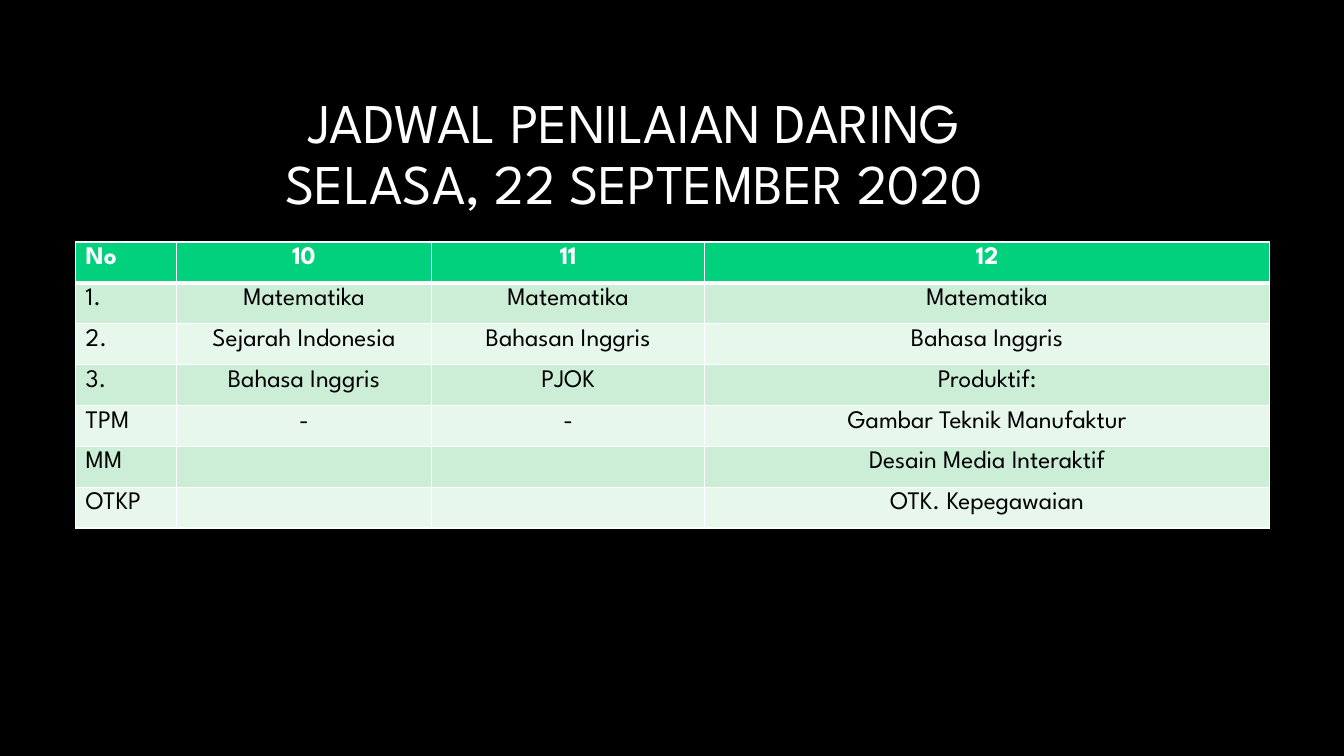
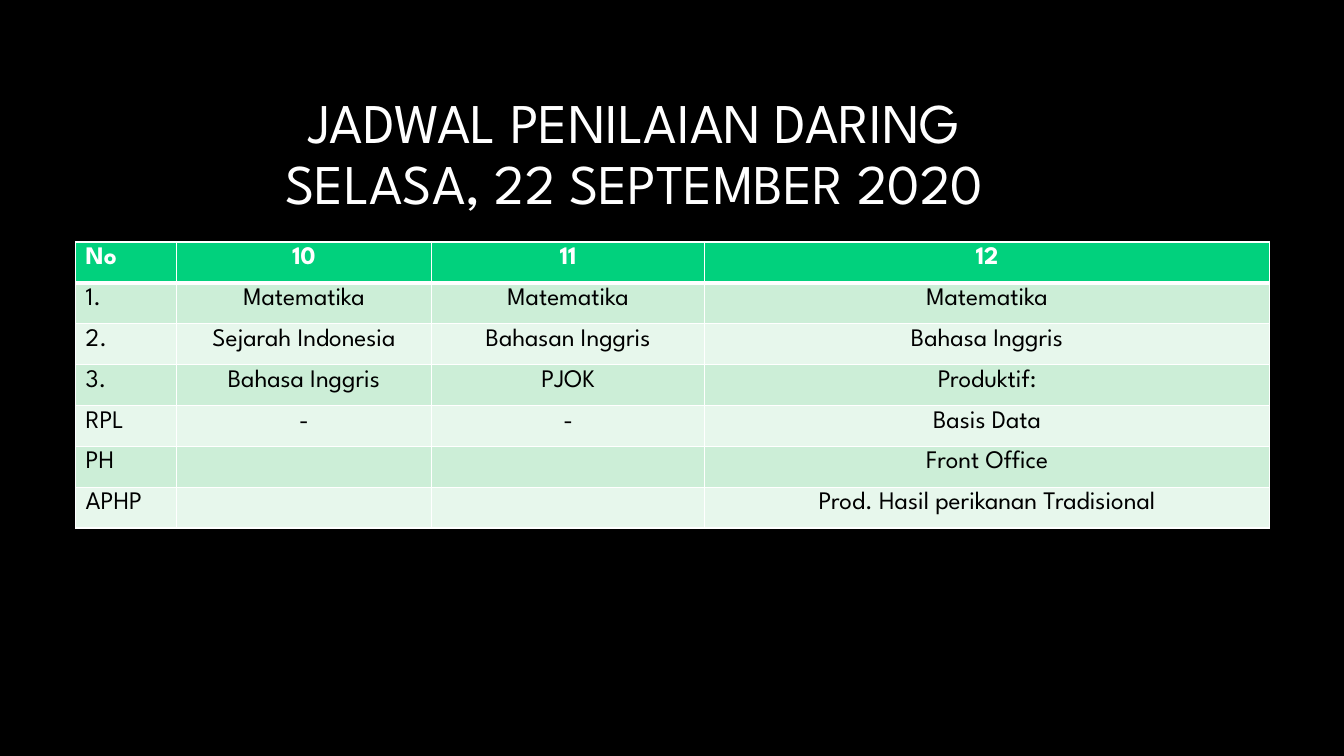
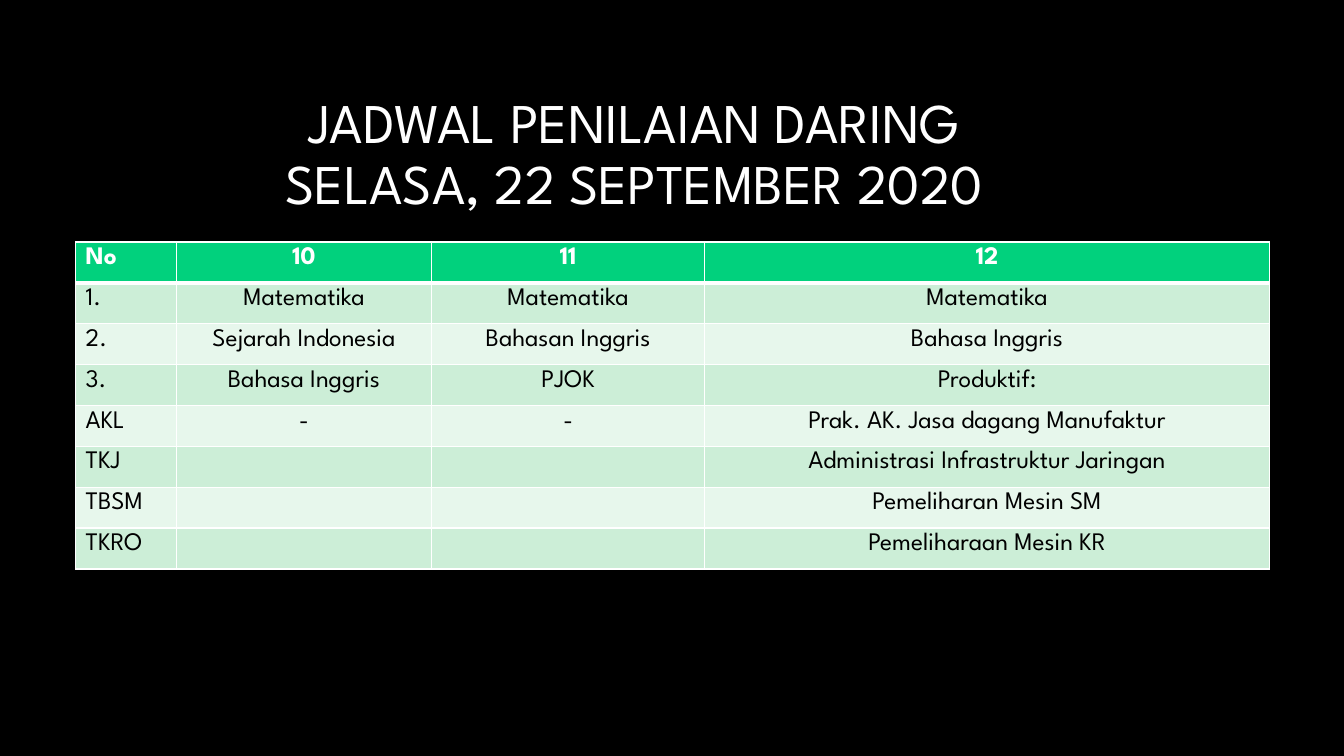
from dataclasses import dataclass

from lxml.etree import SubElement
from pptx import Presentation
from pptx.dml.color import RGBColor
from pptx.enum.text import MSO_ANCHOR, PP_ALIGN
from pptx.oxml.ns import qn
from pptx.presentation import Presentation as Deck
from pptx.slide import Slide
from pptx.table import _Cell as Cell
from pptx.text.text import _Paragraph as Paragraph
from pptx.util import Inches, Pt

BLACK = RGBColor(0x00, 0x00, 0x00)
WHITE = RGBColor(0xFF, 0xFF, 0xFF)
GREEN = RGBColor(0x01, 0xD1, 0x7D)
MINT = RGBColor(0xCC, 0xEE, 0xD7)
PALE_MINT = RGBColor(0xE7, 0xF7, 0xEC)

FONT = "League Spartan"
TITLE_LINES = ("JADWAL PENILAIAN DARING", "SELASA, 22 SEPTEMBER 2020")
COLUMN_WIDTHS = (1, 2.53, 2.71, 5.6)
ROW_HEIGHT = Inches(2.84 / 7)
TITLE_ONLY_LAYOUT = 5


@dataclass(frozen=True)
class Lesson:
    label: str
    grade_10: str
    grade_11: str
    grade_12: str

    def texts(self) -> tuple[str, ...]:
        return self.label, self.grade_10, self.grade_11, self.grade_12


@dataclass(frozen=True)
class Major:
    code: str
    subject: str


SHARED_ROWS = (
    Lesson("No", "10", "11", "12"),
    Lesson("1.", "Matematika", "Matematika", "Matematika"),
    Lesson("2.", "Sejarah Indonesia", "Bahasan Inggris", "Bahasa Inggris"),
    Lesson("3.", "Bahasa Inggris", "PJOK", "Produktif:"),
)

SCHEDULES = (
    (
        Major("TPM", "Gambar Teknik Manufaktur"),
        Major("MM", "Desain Media Interaktif"),
        Major("OTKP", "OTK. Kepegawaian"),
    ),
    (
        Major("RPL", "Basis Data"),
        Major("PH", "Front Office"),
        Major("APHP", "Prod. Hasil perikanan Tradisional"),
    ),
    (
        Major("AKL", "Prak. AK. Jasa dagang Manufaktur"),
        Major("TKJ", "Administrasi Infrastruktur Jaringan"),
        Major("TBSM", "Pemeliharan Mesin SM"),
        Major("TKRO", "Pemeliharaan Mesin KR"),
    ),
)


def format_runs(paragraph: Paragraph, size: int, color: RGBColor, bold: bool = False) -> None:
    for run in paragraph.runs:
        run.font.name = FONT
        run.font.size = Pt(size)
        run.font.bold = bold
        run.font.color.rgb = color


def add_title(slide: Slide) -> None:
    title = slide.shapes.title
    title.left, title.top = Inches(0), Inches(0.84)
    title.width, title.height = Inches(12.58), Inches(1.41)
    title.text_frame.vertical_anchor = MSO_ANCHOR.MIDDLE
    paragraph = title.text_frame.paragraphs[0]
    paragraph.text = "\v".join(TITLE_LINES)
    paragraph.alignment = PP_ALIGN.CENTER
    paragraph.line_spacing = 0.9
    format_runs(paragraph, 40, WHITE)


def set_borders(cell: Cell, top: int, bottom: int) -> None:
    properties = cell._tc.get_or_add_tcPr()
    for side, points in (("L", 1), ("R", 1), ("T", top), ("B", bottom)):
        line = SubElement(properties, qn(f"a:ln{side}"), w=str(Pt(points)))
        fill = SubElement(line, qn("a:solidFill"))
        SubElement(fill, qn("a:srgbClr"), val=str(WHITE))


def fill_cell(cell: Cell, text: str, row: int, column: int) -> None:
    is_header = row == 0
    set_borders(cell, top=3 if row == 1 else 1, bottom=3 if is_header else 1)
    cell.fill.solid()
    cell.fill.fore_color.rgb = GREEN if is_header else (PALE_MINT, MINT)[row % 2]
    paragraph = cell.text_frame.paragraphs[0]
    paragraph.text = text
    paragraph.alignment = PP_ALIGN.CENTER if column else PP_ALIGN.LEFT
    format_runs(paragraph, 18, WHITE if is_header else BLACK, is_header)


def add_schedule(slide: Slide, majors: tuple[Major, ...]) -> None:
    major_rows = tuple(
        Lesson(major.code, mark, mark, major.subject)
        for major, mark in zip(majors, ("-",) + ("",) * (len(majors) - 1))
    )
    lessons = SHARED_ROWS + major_rows
    table = slide.shapes.add_table(
        len(lessons), len(COLUMN_WIDTHS), Inches(0.75), Inches(2.4),
        Inches(sum(COLUMN_WIDTHS)), ROW_HEIGHT * len(lessons),
    ).table
    for column, width in zip(table.columns, COLUMN_WIDTHS):
        column.width = Inches(width)
    for row, lesson in enumerate(lessons):
        for column, text in enumerate(lesson.texts()):
            fill_cell(table.cell(row, column), text, row, column)


def add_schedule_slide(presentation: Deck, majors: tuple[Major, ...]) -> None:
    slide = presentation.slides.add_slide(presentation.slide_layouts[TITLE_ONLY_LAYOUT])
    add_title(slide)
    add_schedule(slide, majors)


def main() -> None:
    presentation = Presentation()
    presentation.slide_width = Inches(13.33)
    presentation.slide_height = Inches(7.5)
    background = presentation.slide_master.background.fill
    background.solid()
    background.fore_color.rgb = BLACK
    for majors in SCHEDULES:
        add_schedule_slide(presentation, majors)
    presentation.save("out.pptx")


if __name__ == "__main__":
    main()
